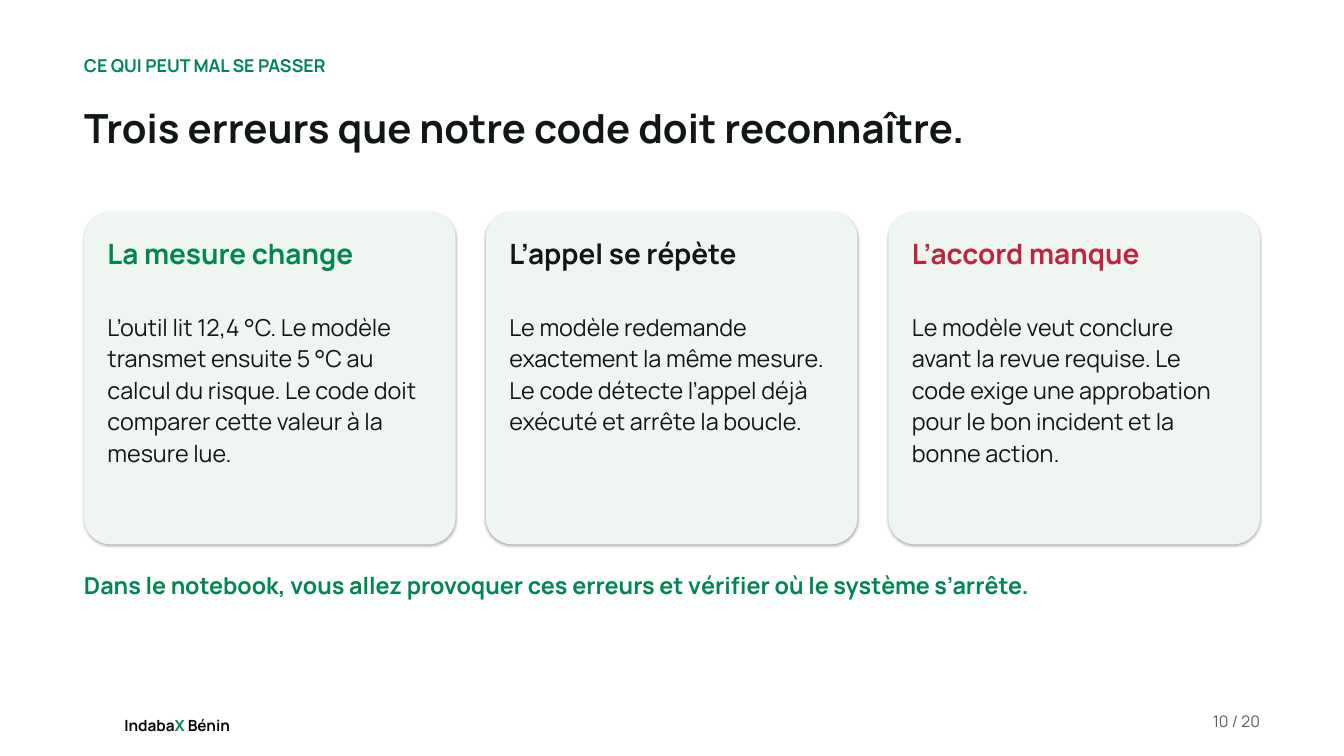
"""Build the slide on three errors the code must recognise."""
from pptx import Presentation
from pptx import util as u
from pptx.dml.color import RGBColor
from pptx.enum import shapes, text

WHITE = RGBColor(0xFF, 0xFF, 0xFF)
MINT = RGBColor(0xEF, 0xF6, 0xF1)
GREEN = RGBColor(0x00, 0x87, 0x51)
INK = RGBColor(0x11, 0x17, 0x13)
BLACK = RGBColor(0x0A, 0x0A, 0x0A)
GREY = RGBColor(0x53, 0x64, 0x5A)
RED = RGBColor(0xBE, 0x24, 0x40)

MARGIN, CONTENT_WIDTH = 125, 1750
CARD_TOP, CARD_HEIGHT, CARD_GAP, CARD_PADDING = 315, 495, 45, 35

CARDS = [
    ("La mesure change", GREEN,
     "L’outil lit 12,4 °C. Le modèle transmet ensuite 5 °C au calcul du risque. "
     "Le code doit comparer cette valeur à la mesure lue."),
    ("L’appel se répète", INK,
     "Le modèle redemande exactement la même mesure. "
     "Le code détecte l’appel déjà exécuté et arrête la boucle."),
    ("L’accord manque", RED,
     "Le modèle veut conclure avant la revue requise. Le code exige une "
     "approbation pour le bon incident et la bonne action."),
]


def px(length):
    return u.Emu(length * 9144)


def write(para, words, *, size, color=INK, bold=False, font="Manrope"):
    span = para.add_run()
    span.text = words
    span.font.name = font
    span.font.size = u.Pt(size)
    span.font.bold = bold
    span.font.color.rgb = color


class Composer:
    def __init__(self, page):
        self.page = page
        page.background.fill.solid()
        page.background.fill.fore_color.rgb = WHITE

    def lay_out(self, box, align=text.PP_ALIGN.LEFT, spacing=1.13, after=7):
        frame = box.text_frame
        frame.margin_left = frame.margin_right = 0
        frame.margin_top = frame.margin_bottom = 0
        frame.word_wrap = True
        frame.auto_size = text.MSO_AUTO_SIZE.SHAPE_TO_FIT_TEXT
        frame.vertical_anchor = text.MSO_ANCHOR.TOP
        para = frame.paragraphs[0]
        para.alignment = align
        para.line_spacing = spacing
        para.space_after = u.Pt(after)
        return para

    def title(self, words, left, top, width, height, **style):
        box = self.page.shapes.title
        box.left, box.top, box.width, box.height = map(px, (left, top, width, height))
        write(self.lay_out(box), words, **style)

    def label(self, spans, left, top, width, height, *, size, bold=False, **layout):
        box = self.page.shapes.add_textbox(*map(px, (left, top, width, height)))
        para = self.lay_out(box, **layout)
        for words, color in spans:
            write(para, words, size=size, color=color, bold=bold)

    def panel(self, left, top, width, height):
        box = self.page.shapes.add_shape(
            shapes.MSO_SHAPE.ROUNDED_RECTANGLE, *map(px, (left, top, width, height)))
        box.adjustments[0] = 0.08
        box.fill.solid()
        box.fill.fore_color.rgb = MINT
        box.line.fill.background()

    def card(self, left, width, heading, color, body):
        self.panel(left, CARD_TOP, width, CARD_HEIGHT)
        inner_left, inner_width = left + CARD_PADDING, width - 2 * CARD_PADDING
        self.label([(heading, color)], inner_left, CARD_TOP + 30, inner_width, 100,
                   size=30, bold=True)
        self.label([(body, INK)], inner_left, CARD_TOP + 145, inner_width, 330, size=25)


def main():
    deck = Presentation()
    deck.slide_width, deck.slide_height = px(2000), px(1125)
    composer = Composer(deck.slides.add_slide(deck.slide_layouts[5]))

    composer.label([("Indaba", BLACK), ("X", GREEN), (" Bénin", BLACK)],
                   185, 1061, 173, 28, size=16.5, bold=True, spacing=u.Pt(23.1), after=0)
    composer.label([("10 / 20", GREY)], 1735, 1055, 140, 40, size=17,
                   align=text.PP_ALIGN.RIGHT)
    composer.label([("CE QUI PEUT MAL SE PASSER", GREEN)],
                   MARGIN, 78, CONTENT_WIDTH, 40, size=19, bold=True)
    composer.title("Trois erreurs que notre code doit reconnaître.",
                   MARGIN, 145, CONTENT_WIDTH, 150, size=43, bold=True)

    pitch = (CONTENT_WIDTH + CARD_GAP) / len(CARDS)
    for index, (heading, color, body) in enumerate(CARDS):
        composer.card(MARGIN + round(index * pitch), round(pitch - CARD_GAP),
                      heading, color, body)

    composer.label([("Dans le notebook, vous allez provoquer ces erreurs et vérifier "
                     "où le système s’arrête.", GREEN)],
                   MARGIN, 845, CONTENT_WIDTH, 100, size=25, bold=True)
    deck.save("out.pptx")


if __name__ == "__main__":
    main()
